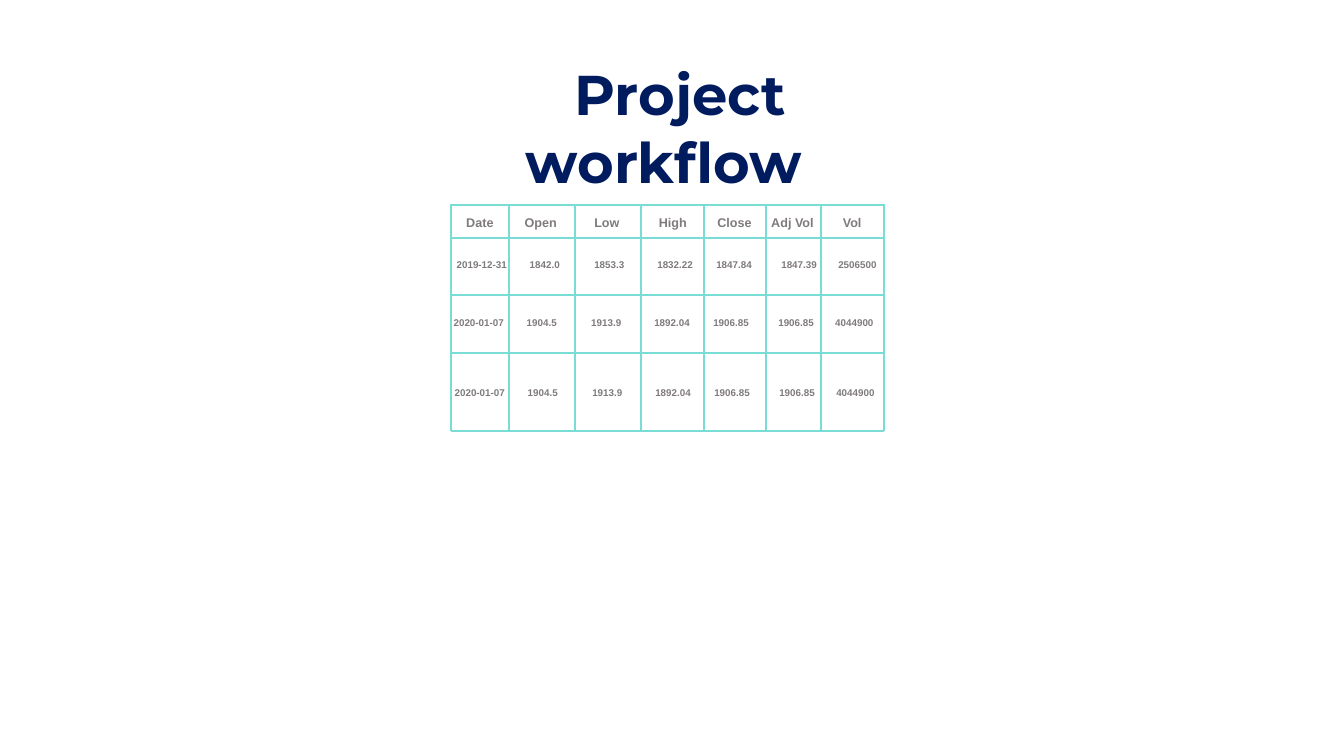
"""Build the project workflow slide with its ruled price grid."""
from dataclasses import dataclass

from lxml import etree
from pptx import Presentation
from pptx.dml.color import RGBColor
from pptx.enum.shapes import MSO_CONNECTOR
from pptx.enum.text import MSO_AUTO_SIZE, PP_ALIGN
from pptx.oxml.ns import qn
from pptx.slide import Slide
from pptx.util import Inches, Pt

STRAIGHT = MSO_CONNECTOR.STRAIGHT
GROW = MSO_AUTO_SIZE.SHAPE_TO_FIT_TEXT
LEFT, CENTER = PP_ALIGN.LEFT, PP_ALIGN.CENTER


@dataclass(frozen=True)
class Style:
    font: str
    size: int
    color: RGBColor
    align: PP_ALIGN = LEFT


@dataclass(frozen=True)
class Theme:
    title: Style = Style("Montserrat", 80, RGBColor(0x00, 0x1C, 0x5E), CENTER)
    head: Style = Style("Arial", 18, RGBColor(0x7F, 0x7A, 0x7E))
    cell: Style = Style("Arial", 14, RGBColor(0x7F, 0x7A, 0x7E))
    rule: RGBColor = RGBColor(0x7A, 0xDD, 0xD5)
    weight: int = 3


@dataclass(frozen=True)
class Box:
    left: float
    top: float
    width: float
    height: float


@dataclass(frozen=True)
class Column:
    name: str
    head: float
    span: float
    left: float
    width: float


@dataclass(frozen=True)
class Row:
    top: float
    shift: float
    values: tuple[str, ...]


@dataclass(frozen=True)
class Rule:
    left: float
    top: float
    right: float
    bottom: float


THEME = Theme()
TOP, BOTTOM = 4.05, 8.56
COLUMNS = (
    Column("Date", 9.15, 0.75, 8.96, 1.2),
    Column("Open", 10.31, 0.85, 10.41, 0.8),
    Column("Low", 11.69, 0.71, 11.69, 0.8),
    Column("High", 12.97, 0.76, 12.94, 0.91),
    Column("Close", 14.13, 0.89, 14.11, 0.91),
    Column("Adj Vol", 15.2, 1.05, 15.4, 0.91),
    Column("Vol", 16.62, 0.58, 16.53, 0.96),
)
REPEAT = ("2020-01-07", "1904.5", "1913.9", "1892.04", "1906.85", "1906.85", "4044900")
ROWS = (
    Row(5.08, 0, ("2019-12-31", "1842.0", "1853.3", "1832.22", "1847.84", "1847.39", "2506500")),
    Row(6.24, -0.06, REPEAT),
    Row(7.63, -0.04, REPEAT),
)
EDGES = (8.95, 10.09, 11.4, 12.71, 13.96, 15.19, 16.28, 17.53)
RULES = (
    *(Rule(x, TOP, x, BOTTOM) for x in EDGES),
    *(Rule(17.51, y, 8.93, y) for y in (4.07, 5.86)),
    *(Rule(17.53, y, 8.95, y) for y in (4.73, 7.01, 8.55)),
)


def add_text(slide: Slide, text: str, box: Box, style: Style, wrap: bool = False) -> None:
    """Place bold text in a box that grows to fit."""
    shape = slide.shapes.add_textbox(
        Inches(box.left), Inches(box.top), Inches(box.width), Inches(box.height)
    )
    frame = shape.text_frame
    frame.text = text
    frame.word_wrap = wrap
    frame.auto_size = GROW
    para = frame.paragraphs[0]
    para.alignment = style.align
    font = para.runs[0].font
    font.name = style.font
    font.size = Pt(style.size)
    font.bold = True
    font.color.rgb = style.color


def add_rule(slide: Slide, rule: Rule) -> None:
    """Draw one straight grid rule."""
    line = slide.shapes.add_connector(
        STRAIGHT, Inches(rule.left), Inches(rule.top), Inches(rule.right), Inches(rule.bottom)
    )
    line.line.color.rgb = THEME.rule
    line.line.width = Pt(THEME.weight)
    etree.SubElement(line._element.spPr, qn("a:effectLst"))


def add_grid(slide: Slide) -> None:
    """Draw the rules, the headings and the values."""
    for rule in RULES:
        add_rule(slide, rule)
    for col in COLUMNS:
        add_text(slide, col.name, Box(col.head, 4.21, col.span, 0.4), THEME.head)
    for row in ROWS:
        for col, value in zip(COLUMNS, row.values):
            box = Box(col.left + row.shift, row.top, col.width, 0.34)
            add_text(slide, value, box, THEME.cell)


def main() -> None:
    """Build and save the slide."""
    deck = Presentation()
    deck.slide_width = Inches(26.66)
    deck.slide_height = Inches(15)
    slide = deck.slides.add_slide(deck.slide_layouts[6])
    add_text(slide, " Project workflow ", Box(8.98, 1.14, 8.7, 1.45), THEME.title, wrap=True)
    add_grid(slide)
    deck.save("out.pptx")


if __name__ == "__main__":
    main()
